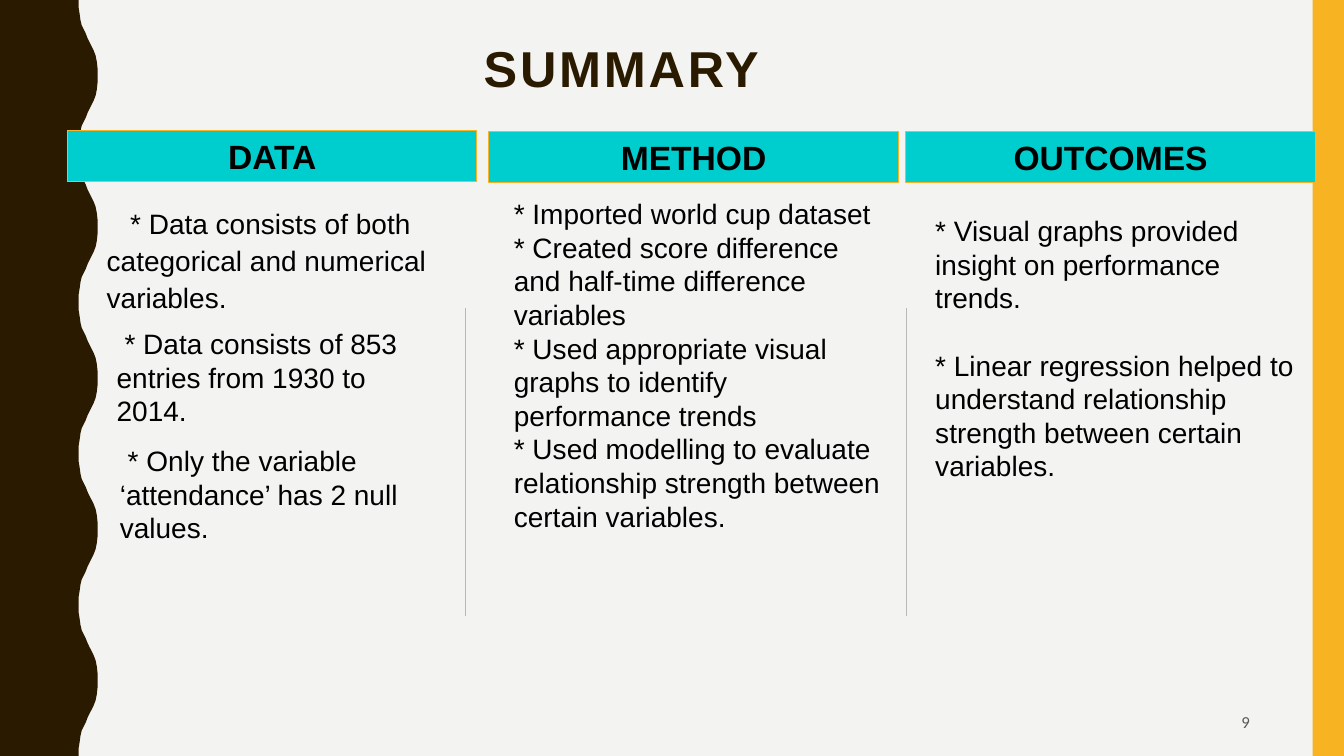
import pptx
import pptx.dml.color
import pptx.enum.shapes
import pptx.enum.text
import pptx.util
from lxml import etree
from pptx.oxml.ns import qn

Cm, Pt = pptx.util.Cm, pptx.util.Pt
ALIGN = pptx.enum.text.PP_ALIGN
ANCHOR = pptx.enum.text.MSO_ANCHOR
RECT = pptx.enum.shapes.MSO_SHAPE.RECTANGLE
WIDE, HIGH = 33.87, 19.05
DARK, GOLD, TEAL, GREY, BLACK = "2A1A00", "F8B323", "00CECE", "B8B8B8", "000000"

# Half a wave, going down from trough to crest (x, y in cm)
WAVE = [(1.98, 0), (1.98, 0.18), (2.01, 0.36), (2.03, 0.51), (2.06, 0.64),
        (2.11, 0.74), (2.16, 0.84), (2.21, 0.97), (2.26, 1.07), (2.31, 1.17),
        (2.36, 1.27), (2.41, 1.4), (2.44, 1.55), (2.46, 1.73)]
CREST = 2.46
HALVES = 10

# Heading, left edge, top of its band
BANDS = [("DATA", 1.7, 3.3), ("METHOD", 12.32, 3.32), ("OUTCOMES", 22.83, 3.32)]

# Box, paragraphs, first-line indent, line factor, gap between paragraphs
NOTES = [
    ((2.44, 5, 9.14, 3.2),
     ["* Data consists of both categorical and numerical variables."], 0.59, 1.1, 0),
    ((2.69, 8.1, 8.64, 2.82),
     ["* Data consists of 853 entries from 1930 to 2014."], 0.2, 1, 0),
    ((2.77, 11.05, 7.65, 2.82),
     ["* Only the variable ‘attendance’ has 2 null values."], 0.2, 1, 0),
    ((12.7, 4.83, 9.86, 10.85),
     ["* Imported world cup dataset",
      "* Created score difference and half-time difference variables",
      "* Used appropriate visual graphs to identify performance trends",
      "* Used modelling to evaluate relationship strength between certain variables."],
     0, 1, 0),
    ((23.32, 5.26, 9.86, 8.13),
     ["* Visual graphs provided insight on performance trends.",
      "* Linear regression helped to understand relationship strength "
      "between certain variables."], 0, 1, 24),
]


def tint(code):
    return pptx.dml.color.RGBColor.from_string(code)


def paint(shape, fill, edge=None):
    shape.shadow.inherit = False
    shape.fill.solid()
    shape.fill.fore_color.rgb = tint(fill)
    if edge:
        shape.line.color.rgb = tint(edge)
        shape.line.width = Pt(0.75)
    else:
        shape.line.fill.background()


def write(shape, lines, size, color=BLACK, font="Arial", bold=False,
          align=ALIGN.LEFT, anchor=ANCHOR.TOP, lead=1, indent=0, gap=0):
    frame = shape.text_frame
    frame.word_wrap = True
    frame.vertical_anchor = anchor
    for i, line in enumerate(lines):
        para = frame.add_paragraph() if i else frame.paragraphs[0]
        para.alignment = align
        para.line_spacing = Pt(size * 1.2 * lead)
        if i and gap:
            para.space_before = Pt(gap)
        if indent:
            para._p.get_or_add_pPr().set("indent", str(Cm(indent)))
        run = para.add_run()
        run.text = line
        run.font.name = font
        run.font.size = Pt(size)
        run.font.bold = bold
        run.font.color.rgb = tint(color)
    return frame


def label(slide, box, lines, size, **style):
    shape = slide.shapes.add_textbox(*map(Cm, box))
    return write(shape, lines, size, **style)


def wavy(slide, left, top):
    """Dark side strip with a rippled right edge."""
    step = HIGH / HALVES
    down = WAVE
    back = [(CREST, 0)] + [(x, step - y) for x, y in reversed(WAVE[1:])]
    edge = [(left + x, top + half * step + y)
            for half in range(HALVES)
            for x, y in (back if half % 2 else down)]
    edge += [(left + WAVE[0][0], top + HIGH), (left, top + HIGH)]
    build = slide.shapes.build_freeform(Cm(left), Cm(top), scale=1.0)
    build.add_line_segments([(Cm(x), Cm(y)) for x, y in edge], close=True)
    paint(build.convert_to_shape(), DARK)


def stripe(slide, box):
    paint(slide.shapes.add_shape(RECT, *map(Cm, box)), GOLD)


def title(slide, box):
    frame = label(slide, box, ["SUMMARY"], 36, color=DARK, bold=True, lead=0.9)
    frame.paragraphs[0].runs[0].font._element.set("spc", "200")


def band(slide, box, text):
    shape = slide.shapes.add_shape(RECT, *map(Cm, box))
    paint(shape, TEAL, GOLD)
    write(shape, [text], 24, bold=True, align=ALIGN.CENTER, anchor=ANCHOR.MIDDLE)


def rule(slide, left, top, high):
    line = slide.shapes.add_connector(
        pptx.enum.shapes.MSO_CONNECTOR.STRAIGHT,
        Cm(left), Cm(top), Cm(left), Cm(top + high))
    line.line.color.rgb = tint(GREY)
    line.line.width = Pt(0.5)
    etree.SubElement(line._element.spPr, qn("a:effectLst"))


def main():
    deck = pptx.Presentation()
    deck.slide_width, deck.slide_height = Cm(WIDE), Cm(HIGH)
    slide = deck.slides.add_slide(deck.slide_layouts[6])
    back = slide.background.fill
    back.solid()
    back.fore_color.rgb = tint("F3F3F2")

    # Side decoration
    wavy(slide, 0, 0)
    stripe(slide, (33.08, 0, 0.79, HIGH))

    # Title and page number
    title(slide, (11.94, 0.96, 7.77, 2.69))
    label(slide, (23.93, 17.7, 7.82, 0.97), ["9"], 12, color="595959",
          font="Calibri", align=ALIGN.RIGHT, anchor=ANCHOR.MIDDLE)

    # Column headings and dividers
    for text, left, top in BANDS:
        band(slide, (left, top, 10.32, 1.28), text)
    for left in (11.73, 22.83):
        rule(slide, left, 7.77, 7.75)

    # Column texts
    for box, lines, indent, lead, gap in NOTES:
        label(slide, box, lines, 20, indent=indent, lead=lead, gap=gap)

    deck.save("out.pptx")


if __name__ == "__main__":
    main()
